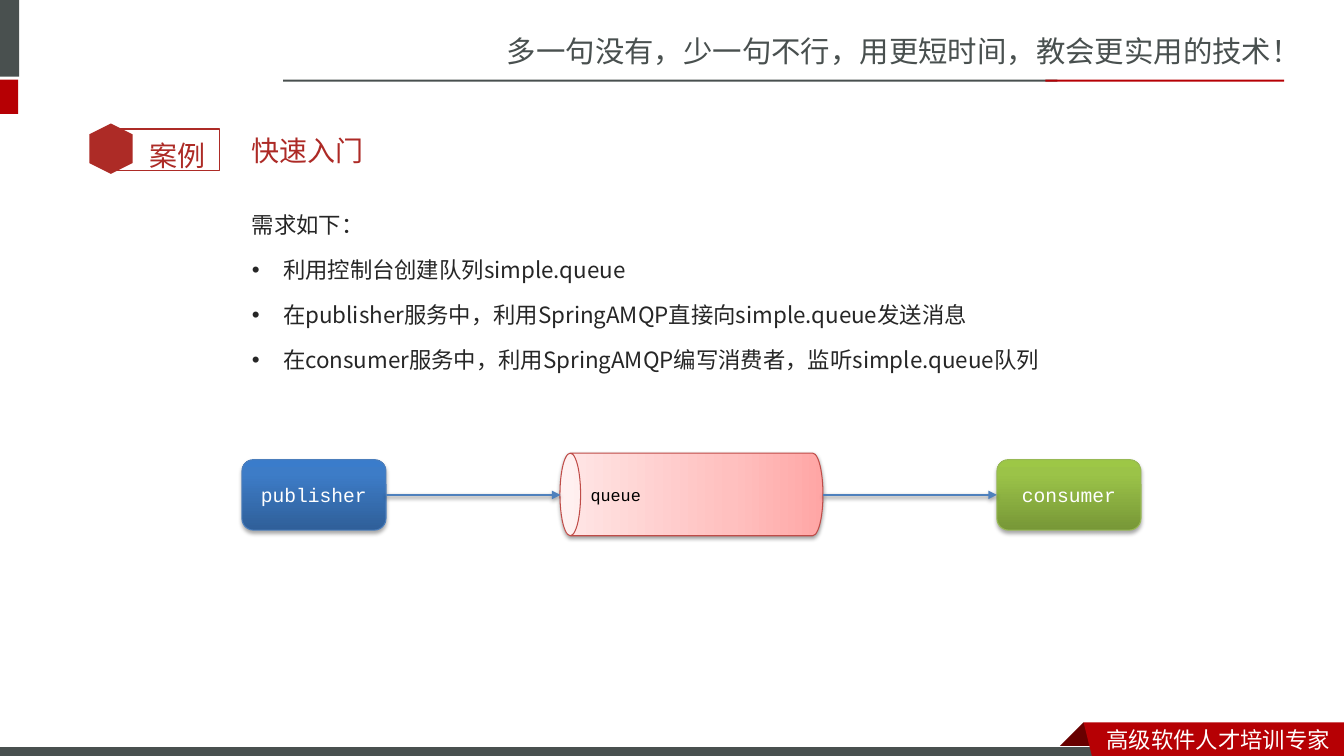
import dataclasses
import typing

import lxml.etree
import pptx
import pptx.dml.color
import pptx.enum.shapes
import pptx.enum.text
import pptx.oxml.ns
import pptx.util

COLUMNS, ROWS = 160, 90
CELL = pptx.util.Inches(7.5) // ROWS
SHAPES = pptx.enum.shapes.MSO_SHAPE
MIDDLE = pptx.enum.text.MSO_ANCHOR.MIDDLE
CENTER = pptx.enum.text.PP_ALIGN.CENTER
Stops = tuple[tuple[int, str], ...]


@dataclasses.dataclass(frozen=True)
class Theme:
    gray: str = "49504F"
    red: str = "B60004"
    fold: str = "680000"
    badge: str = "AD2B26"
    title: str = "AD2A26"
    ink: str = "262626"
    arrow: str = "4F81BD"
    white: str = "FFFFFF"
    black: str = "000000"
    slogan_size: float = 21
    title_size: float = 20
    body_size: float = 16
    node_size: float = 14
    queue_size: float = 12
    chinese: str = "Noto Sans CJK SC"
    body: str = "Noto Sans CJK JP"
    heading: str = "Lato"
    label: str = "Calibri"
    code: str = "Courier New"


THEME = Theme()


@dataclasses.dataclass(frozen=True)
class Area:
    """Place and size in grid columns and rows."""
    column: float
    row: float
    width: float
    height: float

    def lengths(self) -> tuple[int, ...]:
        return tuple(cells(value) for value in dataclasses.astuple(self))


@dataclasses.dataclass(frozen=True)
class Block:
    area: Area
    fill: str | None
    line: str | None = None
    line_width: float = 0.75
    preset: typing.Any = SHAPES.RECTANGLE
    rotation: float = 0


@dataclasses.dataclass(frozen=True)
class Node:
    text: str
    area: Area
    stops: Stops
    line: str
    color: str = THEME.white
    size: float = THEME.node_size
    preset: typing.Any = SHAPES.ROUNDED_RECTANGLE
    rotation: float = 0
    vertical: str = "horz"
    shadow_alpha: int = 35
    shadow_distance: float = 1.8


FRAME = (
    Block(Area(-0.72, 0, 3, 9.12), THEME.gray),
    Block(Area(-0.72, 9.48, 2.88, 4.08), THEME.red),
    Block(Area(33.72, 9.48, 92.16, 0.24), THEME.gray),
    Block(Area(124.44, 9.48, 28.44, 0.24), THEME.red),
    Block(Area(-0.12, 88.92, 132, 1.44), THEME.gray, THEME.white),
    Block(Area(13.08, 15.36, 13.08, 4.92), None, THEME.badge, 1),
    Block(Area(10.2, 15.12, 6, 5.16), THEME.badge, preset=SHAPES.HEXAGON, rotation=90),
)
FOLD = ((128.76, 86.4), (131.4, 89.04), (131.28, 89.16), (126.24, 89.16), (126.12, 89.04))
RIBBON = ((128.76, 86.4), (160, 86.4), (160, 90.48), (130.32, 90.36))
NODES = (
    Node("publisher", Area(28.8, 54.72, 17.16, 8.4),
         ((0, "2F5F99"), (80, "3D7CC7"), (100, "3A7CCB")), "4B7EBC"),
    Node("consumer", Area(118.68, 54.72, 17.16, 8.4),
         ((0, "779737"), (80, "9BC348"), (100, "9DC746")), "98B955"),
    Node("queue", Area(77.4, 43.2, 9.84, 31.32),
         ((0, "FFA6A5"), (35, "FFC0BF"), (100, "FFE7E7")), "BF4C48",
         THEME.black, THEME.queue_size, SHAPES.CAN, 270, "eaVert", 38, 1.6),
)
ARROW_ROW = 58.92
ARROWS = ((45.96, 66.72), (98.04, 118.68))
REQUIREMENTS = (
    "利用控制台创建队列simple.queue",
    "在publisher服务中，利用SpringAMQP直接向simple.queue发送消息",
    "在consumer服务中，利用SpringAMQP编写消费者，监听simple.queue队列",
)


def cells(count: float) -> int:
    return round(count * CELL)


def rgb(color: str) -> pptx.dml.color.RGBColor:
    return pptx.dml.color.RGBColor.from_string(color)


def add_xml(parent, tag: str, **attributes):
    child = lxml.etree.SubElement(parent, pptx.oxml.ns.qn(tag))
    for name, value in attributes.items():
        child.set(name, str(value))
    return child


def write(paragraph, text: str, *, size: float, font: str, color: str,
          align=None, spacing=None, before: float = 0, bullet: bool = False) -> None:
    properties = paragraph._p.get_or_add_pPr()
    if bullet:
        indent = pptx.util.Inches(0.31)
        properties.set("marL", str(indent))
        properties.set("indent", str(-indent))
        add_xml(properties, "a:buFont", typeface="Arial")
        add_xml(properties, "a:buChar", char="•")
    paragraph.alignment = align
    paragraph.line_spacing = spacing
    if before:
        paragraph.space_before = pptx.util.Pt(before)
    run = paragraph.add_run()
    run.text = text
    run.font.size = pptx.util.Pt(size)
    run.font.color.rgb = rgb(color)
    run.font.name = font
    add_xml(run._r.get_or_add_rPr(), "a:ea", typeface=font)


def add_text(slide, area: Area, text: str, *, anchor=None, **text_format):
    frame = slide.shapes.add_textbox(*area.lengths()).text_frame
    frame.word_wrap = True
    frame.vertical_anchor = anchor
    write(frame.paragraphs[0], text, **text_format)
    return frame


def paint(shape, fill: str | None, line: str | None = None, width: float = 0.75) -> None:
    shape.shadow.inherit = False
    if fill:
        shape.fill.solid()
        shape.fill.fore_color.rgb = rgb(fill)
    else:
        shape.fill.background()
    if line:
        shape.line.color.rgb = rgb(line)
        shape.line.width = pptx.util.Pt(width)
    else:
        shape.line.fill.background()


def add_block(slide, block: Block) -> None:
    shape = slide.shapes.add_shape(block.preset, *block.area.lengths())
    shape.rotation = block.rotation
    paint(shape, block.fill, block.line, block.line_width)


def add_outline(slide, points: tuple[tuple[float, float], ...], color: str) -> None:
    builder = slide.shapes.build_freeform(*points[0], scale=CELL)
    builder.add_line_segments(points[1:], close=True)
    paint(builder.convert_to_shape(), color)


def add_shadow(shape, alpha: int, distance: float) -> None:
    properties = shape._element.spPr
    effects = properties.find(pptx.oxml.ns.qn("a:effectLst"))
    if effects is None:
        effects = add_xml(properties, "a:effectLst")
    shadow = add_xml(effects, "a:outerShdw", blurRad=pptx.util.Pt(3.1),
                     dist=pptx.util.Pt(distance), dir=5400000, rotWithShape=0)
    add_xml(add_xml(shadow, "a:srgbClr", val=THEME.black), "a:alpha", val=alpha * 1000)


def add_node(slide, node: Node) -> None:
    shape = slide.shapes.add_shape(node.preset, *node.area.lengths())
    shape.rotation = node.rotation
    paint(shape, None, node.line)
    shape.fill.gradient()
    shape.fill.gradient_angle = 90
    stop_list = shape._element.spPr.find(".//" + pptx.oxml.ns.qn("a:gsLst"))
    for stop in list(stop_list):
        stop_list.remove(stop)
    for position, color in node.stops:
        add_xml(add_xml(stop_list, "a:gs", pos=position * 1000), "a:srgbClr", val=color)
    add_shadow(shape, node.shadow_alpha, node.shadow_distance)
    frame = shape.text_frame
    frame.vertical_anchor = MIDDLE
    frame._txBody.bodyPr.set("vert", node.vertical)
    write(frame.paragraphs[0], node.text, size=node.size, font=THEME.code,
          color=node.color, align=CENTER)


def add_arrow(slide, start: float, end: float) -> None:
    arrow = slide.shapes.add_connector(
        pptx.enum.shapes.MSO_CONNECTOR.STRAIGHT,
        cells(start), cells(ARROW_ROW), cells(end), cells(ARROW_ROW))
    arrow.line.color.rgb = rgb(THEME.arrow)
    arrow.line.width = pptx.util.Pt(2)
    add_xml(arrow._element.spPr.find(pptx.oxml.ns.qn("a:ln")), "a:tailEnd", type="triangle")
    add_shadow(arrow, 38, 1.6)


def main() -> None:
    presentation = pptx.Presentation()
    presentation.slide_width, presentation.slide_height = COLUMNS * CELL, ROWS * CELL
    slide = presentation.slides.add_slide(presentation.slide_layouts[6])
    add_outline(slide, FOLD, THEME.fold)
    for block in FRAME:
        add_block(slide, block)
    add_outline(slide, RIBBON, THEME.red)
    add_text(slide, Area(59.16, 3.36, 100.92, 5.64),
             "多一句没有，少一句不行，用更短时间，教会更实用的技术！",
             size=THEME.slogan_size, font=THEME.chinese, color=THEME.gray)
    add_text(slide, Area(130.56, 85.8, 29.4, 4.44), "高级软件人才培训专家",
             size=THEME.body_size, font=THEME.chinese, color=THEME.white)
    add_text(slide, Area(16.56, 13.92, 10.2, 6.72), "案例", spacing=1.5,
             size=THEME.title_size, font=THEME.label, color=THEME.badge)
    add_text(slide, Area(28.8, 14.52, 120.96, 6.84), "快速入门", anchor=MIDDLE,
             size=THEME.title_size, font=THEME.heading, color=THEME.title)
    body_format = dict(size=THEME.body_size, font=THEME.body, color=THEME.ink,
                       spacing=pptx.util.Pt(29))
    body = add_text(slide, Area(28.8, 22.92, 120.96, 25.68), "需求如下：", **body_format)
    for requirement in REQUIREMENTS:
        write(body.add_paragraph(), requirement, before=3.2, bullet=True, **body_format)
    for node in NODES:
        add_node(slide, node)
    for start, end in ARROWS:
        add_arrow(slide, start, end)
    presentation.save("out.pptx")


if __name__ == "__main__":
    main()
